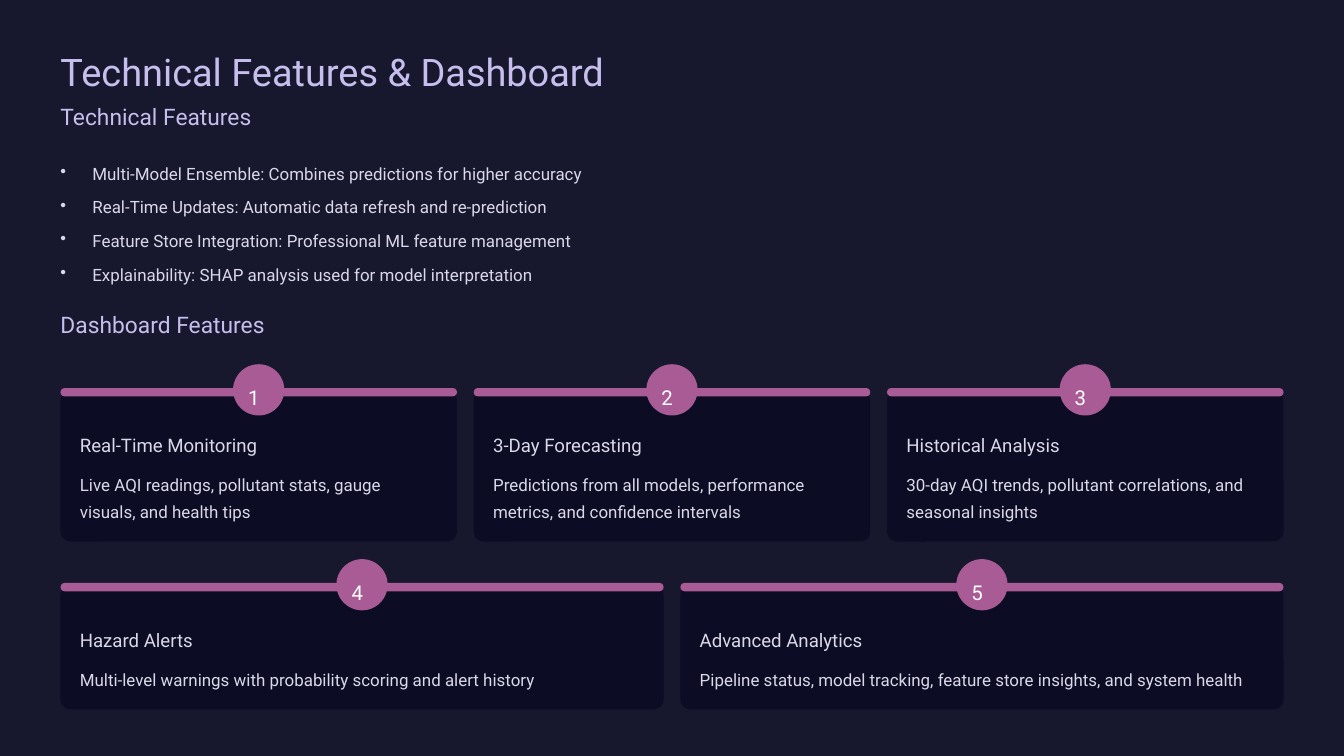
from dataclasses import dataclass
from typing import NamedTuple

from lxml.etree import SubElement
from pptx import Presentation
from pptx.dml.color import RGBColor
from pptx.enum.shapes import MSO_SHAPE as Shape
from pptx.enum.text import MSO_ANCHOR as Anchor, MSO_AUTO_SIZE as Fit, PP_ALIGN as Align
from pptx.oxml.ns import qn
from pptx.util import Inches, Pt

# All lengths are counted in square cells, 100 of them down the slide.
CELL = Inches(9) / 100
EDGE = 8
GAP = 2.22
PAD = 2.56
FULL = 1600 / 9 - 2 * EDGE
COLS = 6
COL = (FULL - (COLS - 1) * GAP) / COLS
BAR = 1.11
DISC = 6.78
CURVE = 1.33

NIGHT, CARD, PINK = "17182E", "0C0D24", "A95B95"
LILAC, PALE, WHITE = "C6BFEE", "DAD8E9", "FFFFFF"


class Box(NamedTuple):
    left: float
    top: float
    width: float
    height: float


class Style(NamedTuple):
    size: float
    line: float
    color: str


@dataclass
class Feature:
    title: str
    body: str


@dataclass
class Band:
    top: float
    height: float
    lines: float
    items: list[Feature]


TITLE = Style(32.5, 40.5, LILAC)
HEAD = Style(19.5, 24.5, LILAC)
NAME = Style(16, 20, PALE)
BODY = Style(14.5, 23.5, PALE)
DIGIT = Style(17.5, 28, WHITE)

POINTS = [
    "Multi-Model Ensemble: Combines predictions for higher accuracy",
    "Real-Time Updates: Automatic data refresh and re-prediction",
    "Feature Store Integration: Professional ML feature management",
    "Explainability: SHAP analysis used for model interpretation",
]
BANDS = [
    Band(51.33, 20, 7.22, [
        Feature("Real-Time Monitoring",
                "Live AQI readings, pollutant stats, gauge visuals, and health tips"),
        Feature("3-Day Forecasting",
                "Predictions from all models, performance metrics, and confidence intervals"),
        Feature("Historical Analysis",
                "30-day AQI trends, pollutant correlations, and seasonal insights"),
    ]),
    Band(77.11, 16.44, 3.67, [
        Feature("Hazard Alerts",
                "Multi-level warnings with probability scoring and alert history"),
        Feature("Advanced Analytics",
                "Pipeline status, model tracking, feature store insights, and system health"),
    ]),
]


def scale(box: Box) -> list[int]:
    return [round(n * CELL) for n in box]


def paint(fill, color: str) -> None:
    fill.solid()
    fill.fore_color.rgb = RGBColor.from_string(color)


def apply(target, values: dict) -> None:
    for key, value in values.items():
        setattr(target, key, value)


def write(frame, lines: list[str], style: Style, bullet: bool = False) -> None:
    apply(frame, dict(margin_left=0, margin_top=0, margin_right=0, margin_bottom=0,
                      word_wrap=True, auto_size=Fit.NONE, vertical_anchor=Anchor.TOP))
    for i, line in enumerate(lines):
        para = frame.add_paragraph() if i else frame.paragraphs[0]
        para.text = line
        apply(para, dict(alignment=Align.LEFT, line_spacing=Pt(style.line),
                         space_before=Pt(5.3 if i else 0)))
        if bullet:
            props = para._p.get_or_add_pPr()
            props.set("marL", str(Inches(0.38)))
            props.set("indent", str(Inches(-0.38)))
            SubElement(props, qn("a:buChar")).set("char", "•")
        apply(para.font, dict(name="Roboto", size=Pt(style.size)))
        paint(para.font.fill, style.color)


def label(slide, box: Box, lines: list[str], style: Style, bullet: bool = False) -> None:
    write(slide.shapes.add_textbox(*scale(box)).text_frame, lines, style, bullet)


def block(slide, box: Box, color: str, curve: float) -> None:
    """Draw a plain block whose corners have the radius curve, in cells."""
    shape = slide.shapes.add_shape(Shape.ROUNDED_RECTANGLE, *scale(box))
    shape.adjustments[0] = min(curve / min(box.width, box.height), 0.5)
    shape.shadow.inherit = False
    shape.line.fill.background()
    paint(shape.fill, color)


def card(slide, band: Band, left: float, width: float, item: Feature, count: int) -> None:
    top, mid = band.top, left + width / 2
    inner, room = left + PAD, width - 2 * PAD
    block(slide, Box(left, top + 0.3, width, band.height), CARD, CURVE)
    block(slide, Box(left, top, width, BAR), PINK, BAR)
    block(slide, Box(mid - DISC / 2, top - 3.15, DISC, DISC), PINK, DISC)
    label(slide, Box(mid - 1.39, top - 1.44, 2.78, 3.44), [str(count)], DIGIT)
    label(slide, Box(inner, top + 5.95, room, 3.11), [item.title], NAME)
    label(slide, Box(inner, top + 10.5, room, band.lines), [item.body], BODY)


def main() -> None:
    deck = Presentation()
    apply(deck, dict(slide_width=Inches(16), slide_height=Inches(9)))
    slide = deck.slides.add_slide(deck.slide_layouts[5])
    paint(slide.background.fill, NIGHT)

    title = slide.shapes.title
    sides = scale(Box(EDGE, 6.22, 79.33, 6.33))
    apply(title, dict(zip(("left", "top", "width", "height"), sides)))
    write(title.text_frame, ["Technical Features & Dashboard"], TITLE)

    for top, head in ((13.44, "Technical Features"), (41, "Dashboard Features")):
        label(slide, Box(EDGE, top, 30.33, 3.78), [head], HEAD)
    label(slide, Box(EDGE, 20.67, FULL, 17), POINTS, BODY, bullet=True)

    count = 0
    for band in BANDS:
        span = COLS // len(band.items)
        width = span * COL + (span - 1) * GAP
        for i, item in enumerate(band.items):
            count += 1
            card(slide, band, EDGE + i * (width + GAP), width, item, count)
    deck.save("out.pptx")


if __name__ == "__main__":
    main()
